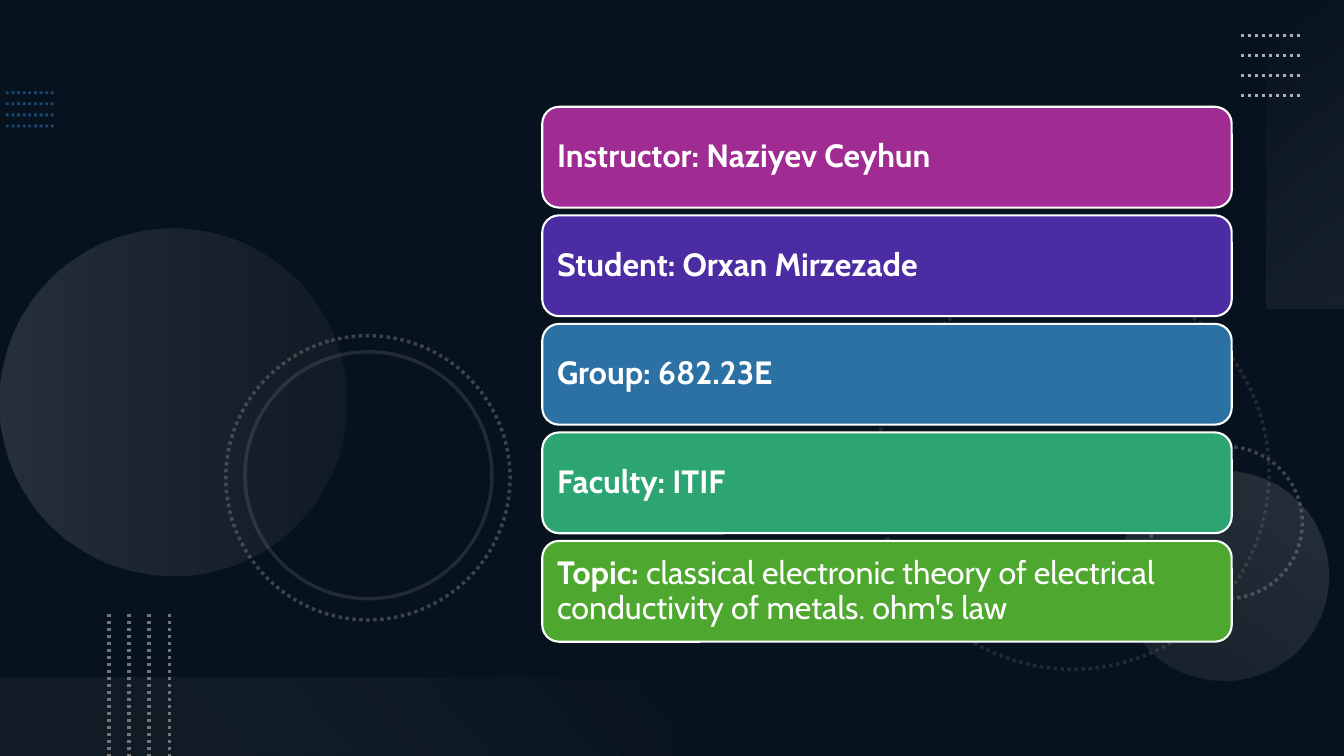
"""Build a dark title slide with five colour cards and dotted ornaments."""
from pptx import Presentation
from pptx.dml.color import RGBColor
from pptx.enum.dml import MSO_LINE
from pptx.enum.shapes import MSO_CONNECTOR, MSO_SHAPE
from pptx.enum.text import MSO_ANCHOR, PP_ALIGN
from pptx.oxml.ns import qn
from pptx.oxml.xmlchemy import OxmlElement
from pptx.util import Inches, Pt

CELL = 1 / 12
CARDS = [
    ("A02B93", "Instructor: Naziyev Ceyhun", ""),
    ("4B2CA2", "Student: Orxan Mirzezade", ""),
    ("2C71A4", "Group: 682.23E", ""),
    ("2DA573", "Faculty: ITIF", ""),
    ("4EA72E", "Topic: ", "classical electronic theory of electrical "
     "conductivity of metals. ohm's law"),
]


def grid(*cells):
    """Turn cells of a 160 by 90 grid into lengths."""
    return [Inches(n * CELL) for n in cells]


def paint(color, code):
    """Set a colour from its hex string."""
    color.rgb = RGBColor.from_string(code)


def fade(shape, *shares):
    """Set the opacity, in percent, of each colour in turn."""
    for color, share in zip(shape.element.spPr.iter(qn("a:srgbClr")), shares):
        alpha = OxmlElement("a:alpha")
        alpha.set("val", str(share * 1000))
        color.append(alpha)


def stroke(line, code, width, dots=False):
    """Style a line or an outline."""
    paint(line.color, code)
    line.width = Pt(width)
    if dots:
        line.dash_style = MSO_LINE.ROUND_DOT


def form(slide, kind, box, turn=0):
    """Add a bare shape without fill, line or shadow."""
    shape = slide.shapes.add_shape(kind, *grid(*box))
    shape.rotation = turn
    shape.shadow.inherit = False
    shape.fill.background()
    shape.line.fill.background()
    return shape


def blend(shape, stops, angle):
    """Fill a shape with a see-through gradient, angle clockwise."""
    shape.fill.gradient()
    shape.fill.gradient_angle = 360 - angle
    for stop, (place, code, _) in zip(shape.fill.gradient_stops, stops):
        stop.position = place
        paint(stop.color, code)
    fade(shape, *[share for _, _, share in stops])


def ring(slide, left, top, size, share, dots=True):
    """Add a faint outlined circle."""
    shape = form(slide, MSO_SHAPE.OVAL, (left, top, size, size), 75)
    stroke(shape.line, "747474", 2.5, dots)
    fade(shape, share)


def disc(slide, left, top, size, turn, stops):
    """Add a circle with a soft gradient."""
    shape = form(slide, MSO_SHAPE.OVAL, (left, top, size, size), turn)
    blend(shape, stops, 90)


def band(slide, box, turn, stops):
    """Add a rectangle with a soft gradient."""
    blend(form(slide, MSO_SHAPE.RECTANGLE, box, turn), stops, 140)


def rows(slide, start, end, step, code, width=2.5, share=100):
    """Add four dotted lines, each moved on by the step."""
    for i in range(4):
        ends = [a + i * d for a, d in zip(start + end, step + step)]
        line = slide.shapes.add_connector(MSO_CONNECTOR.STRAIGHT, *grid(*ends))
        stroke(line.line, code, width, True)
        fade(line, share)
        line.element.spPr.append(OxmlElement("a:effectLst"))


def write(para, text, bold):
    """Add one run of card text."""
    run = para.add_run()
    run.text = text
    run.font.name = "Cabin"
    run.font.size = Pt(23)
    run.font.bold = bold
    paint(run.font.color, "FFFFFF")


def card(slide, top, code, label, rest):
    """Add one rounded card with its text."""
    shape = form(slide, MSO_SHAPE.ROUNDED_RECTANGLE, (64.56, top, 82.08, 12))
    shape.fill.solid()
    paint(shape.fill.fore_color, code)
    stroke(shape.line, "FFFFFF", 1.5)
    frame = shape.text_frame
    frame.word_wrap = True
    frame.vertical_anchor = MSO_ANCHOR.MIDDLE
    frame.margin_left = frame.margin_right = Inches(0.1)
    frame.margin_top = frame.margin_bottom = Inches(0.1)
    para = frame.paragraphs[0]
    para.alignment = PP_ALIGN.LEFT
    para.line_spacing = 0.9
    write(para, label, True)
    if rest:
        write(para, rest, False)


def back(slide):
    """Lay the dark ground."""
    fill = slide.background.fill
    fill.solid()
    paint(fill.fore_color, "0E2841")
    veil = form(slide, MSO_SHAPE.RECTANGLE, (0, 0, 160, 90))
    veil.fill.solid()
    paint(veil.fill.fore_color, "000000")
    fade(veil, 53)


def main():
    """Build and save the slide."""
    deck = Presentation()
    deck.slide_width, deck.slide_height = grid(160, 90)
    slide = deck.slides.add_slide(deck.slide_layouts[6])
    back(slide)
    rows(slide, (0.7, 11.04), (6.4, 11.04), (0, 1.32), "2D7FCF", 2, 50)
    ring(slide, 104.28, 32.88, 46.8, 25)
    ring(slide, 136.92, 53.16, 18.12, 50)
    disc(slide, 0, 27.24, 41.28, 270,
         [(0, "AEAEAE", 20), (1, "747474", 10)])
    disc(slide, 133.2, 56.04, 24.96, 210,
         [(0, "AEAEAE", 10), (1, "AEAEAE", 20)])
    ring(slide, 26.88, 39.96, 33.84, 50)
    ring(slide, 29.16, 41.88, 29.4, 25, False)
    band(slide, (137.04, 13.68, 36.72, 9.36), 270,
         [(0, "F6F6F6", 0), (1, "AEAEAE", 10)])
    rows(slide, (147.72, 4.2), (154.92, 4.2), (0, 2.4), "AEAEAE")
    band(slide, (0, 80.64, 80, 9.36), 180,
         [(0.1, "747474", 10), (1, "F1F1F1", 0)])
    rows(slide, (12.96, 73.08), (12.96, 90), (2.4, 0), "747474")
    for i, (code, label, rest) in enumerate(CARDS):
        card(slide, 12.72 + i * 12.92, code, label, rest)
    deck.save("out.pptx")


if __name__ == "__main__":
    main()
